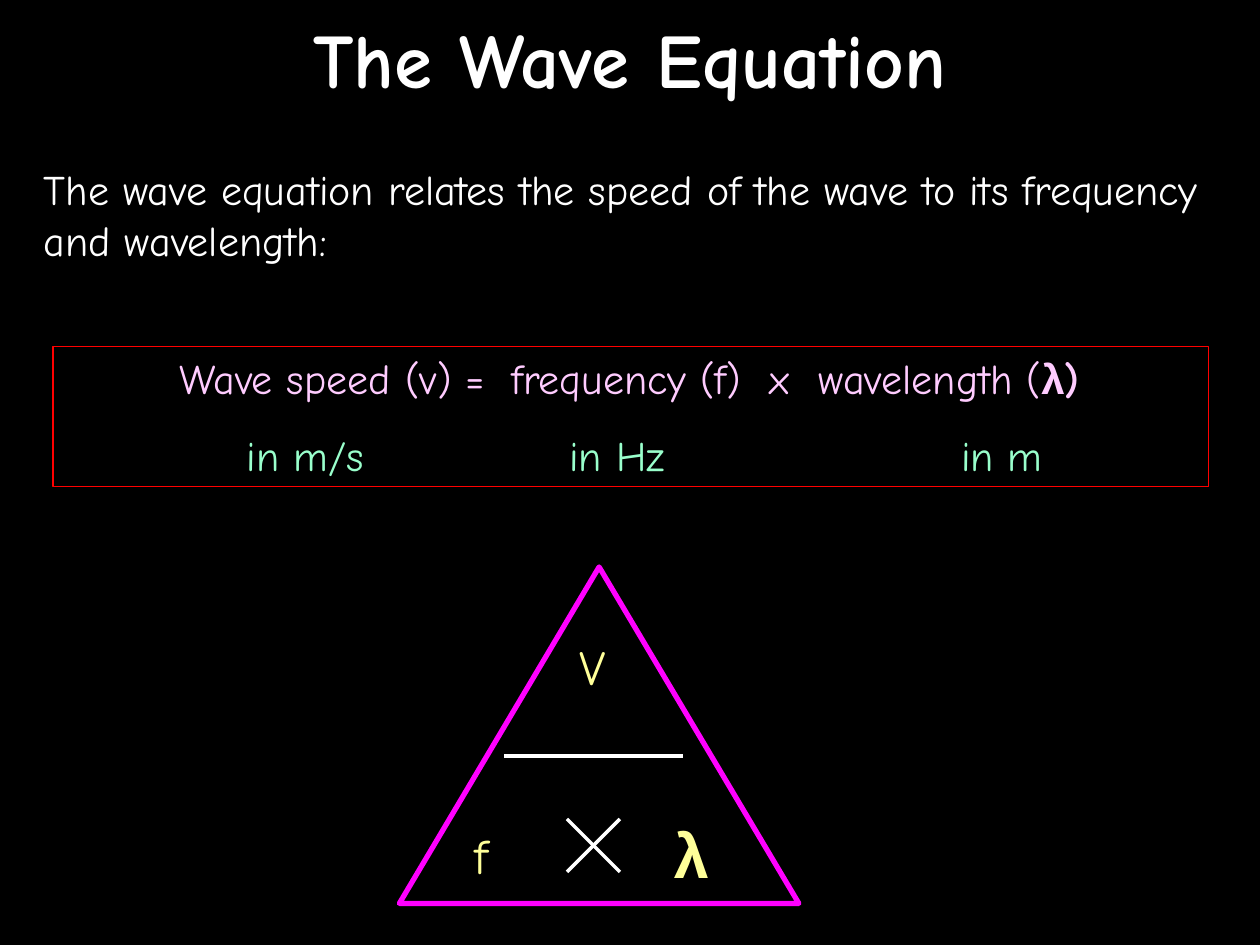
from lxml import etree
from pptx import Presentation
from pptx.dml.color import RGBColor
from pptx.enum.shapes import MSO_CONNECTOR, MSO_SHAPE
from pptx.enum.text import MSO_ANCHOR, PP_ALIGN
from pptx.oxml.ns import qn
from pptx.util import Inches, Pt

LINE = MSO_CONNECTOR.STRAIGHT
RECT = MSO_SHAPE.RECTANGLE
PEAK = MSO_SHAPE.FLOWCHART_EXTRACT
LEFT = PP_ALIGN.LEFT
MID = PP_ALIGN.CENTER
TOP = MSO_ANCHOR.TOP
CENTER = MSO_ANCHOR.MIDDLE
MAIN = "Comic Neue"
WHITE, PINK, MINT, CREAM = "FFFFFF", "FFCCFF", "99FFCC", "FFFF99"


def paint(code):
    """Turn a hex string into a colour."""
    return RGBColor.from_string(code)


def write(para, text, size, color, **style):
    """Add a run with the given font values."""
    run = para.add_run()
    run.text = text
    look = {"name": MAIN, "size": Pt(size), "bold": False, **style}
    for key, value in look.items():
        setattr(run.font, key, value)
    run.font.color.rgb = paint(color)


def label(shapes, box, text, size, color, align=LEFT, anchor=TOP, **style):
    """Place a wrapped text box with one paragraph."""
    frame = shapes.add_textbox(*map(Inches, box)).text_frame
    frame.word_wrap = True
    frame.vertical_anchor = anchor
    para = frame.paragraphs[0]
    para.alignment = align
    write(para, text, size, color, **style)


def outline(shapes, kind, box, color, width):
    """Place an unfilled shape with a coloured border."""
    shape = shapes.add_shape(kind, *map(Inches, box))
    shape.shadow.inherit = False
    shape.fill.background()
    shape.line.color.rgb = paint(color)
    shape.line.width = Pt(width)
    return shape


def stroke(shapes, start, end):
    """Draw a plain white line."""
    line = shapes.add_connector(LINE, *map(Inches, start + end))
    line.line.color.rgb = paint(WHITE)
    line.line.width = Pt(2)
    etree.SubElement(line._element.spPr, qn("a:effectLst"))


def set_tabs(para, stops):
    """Give a paragraph left tab stops."""
    tabs = etree.SubElement(para._p.get_or_add_pPr(), qn("a:tabLst"))
    for stop in stops:
        etree.SubElement(tabs, qn("a:tab"), pos=str(Inches(stop)), algn="l")


def formula(shapes, box):
    """Build the framed equation with its row of units."""
    frame = outline(shapes, RECT, box, "FF0000", 0.75).text_frame
    frame.word_wrap = True
    frame.vertical_anchor = TOP
    words, units = frame.paragraphs[0], frame.add_paragraph()
    rows = [(words, (0.91, 3.54, 5.59, 5.98)), (units, (1.44, 4, 7.11))]
    for para, stops in rows:
        para.alignment = LEFT
        set_tabs(para, stops)
    write(words, "\tWave speed (v) =\tfrequency (f)\tx\twavelength (", 24, PINK)
    write(words, "λ", 24, PINK, name="Arial", bold=True)
    write(words, ")", 24, PINK, bold=True)
    units.space_before = Pt(15)
    write(units, "\tin m/s\tin Hz\tin m", 24, MINT)


def triangle(shapes, box):
    """Build the formula triangle with its symbols."""
    x, y, wide, high = box
    parts = shapes.add_group_shape().shapes
    outline(parts, PEAK, box, "FF00FF", 3)
    label(parts, (x + 1.33, y + 0.5, 1, 0.57), "V", 28, CREAM)
    label(parts, (x + 2.08, y + 1.92, 1, 0.7), "λ", 36, CREAM, name="Arial", bold=True)
    label(parts, (x + 0.5, y + 2, 1, 0.57), "f", 28, CREAM)
    stroke(parts, (x + 0.83, y + 1.5), (x + 2.25, y + 1.5))
    left, right, top, low = x + 1.33, x + 1.75, y + 2, y + 2.42
    stroke(parts, (left, low), (right, top))
    stroke(parts, (right, low), (left, top))


def main():
    """Build and save the slide."""
    deck = Presentation()
    deck.slide_width, deck.slide_height = Inches(10), Inches(7.5)
    slide = deck.slides.add_slide(deck.slide_layouts[6])
    slide.background.fill.solid()
    slide.background.fill.fore_color.rgb = paint("000000")
    shapes = slide.shapes
    label(shapes, (0, 0, 10, 0.92), "The Wave Equation", 44, WHITE, MID, CENTER, bold=True)
    intro = "The wave equation relates the speed of the wave to its frequency and wavelength:"
    label(shapes, (0.25, 1.25, 9.5, 0.9), intro, 24, WHITE)
    formula(shapes, (0.42, 2.75, 9.17, 1.11))
    triangle(shapes, (3.17, 4.5, 3.17, 2.67))
    deck.save("out.pptx")


if __name__ == "__main__":
    main()
